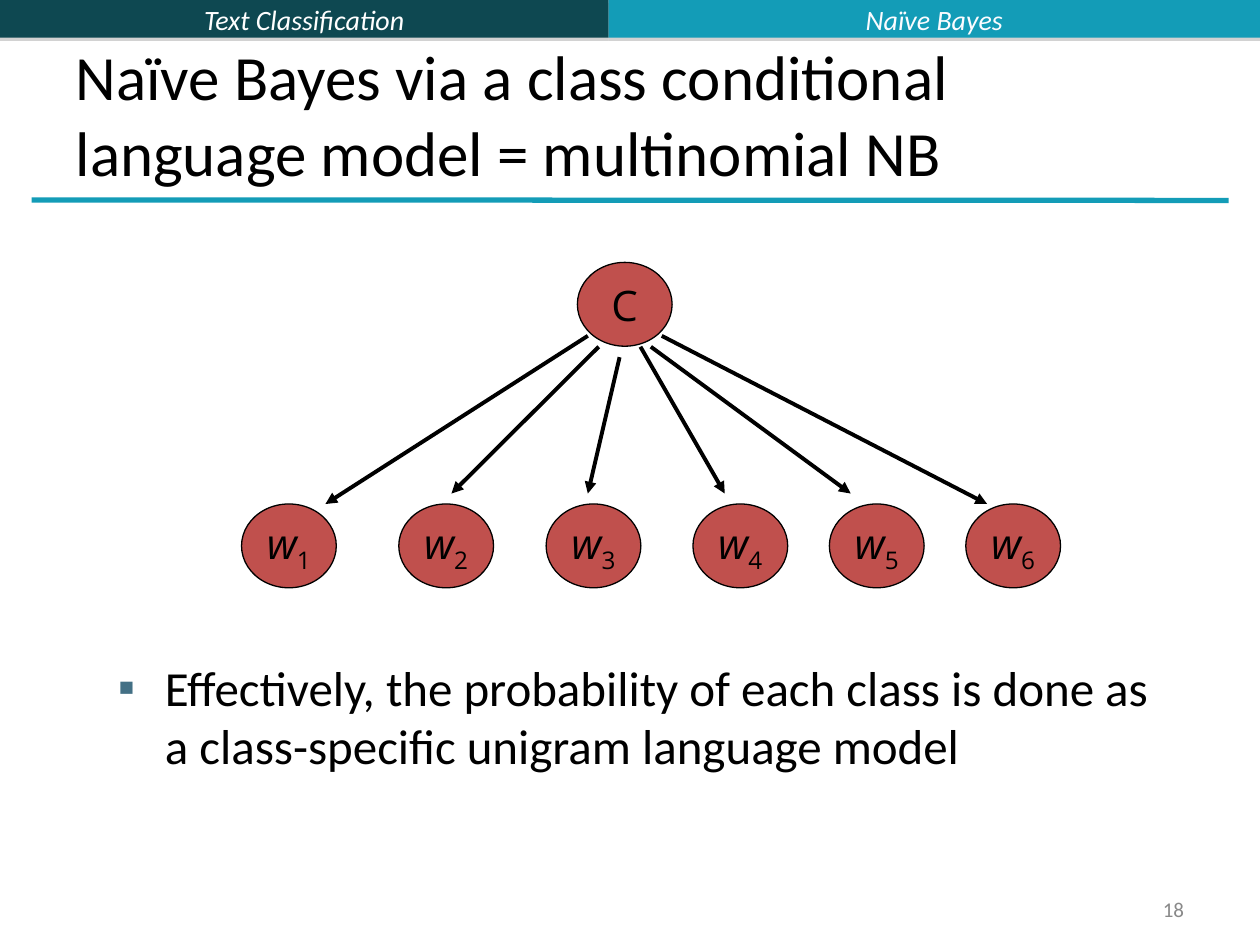
from dataclasses import dataclass

from lxml.etree import SubElement
from pptx import Presentation
from pptx.dml.color import RGBColor
from pptx.enum.shapes import MSO_CONNECTOR, MSO_SHAPE
from pptx.enum.text import MSO_ANCHOR, MSO_AUTO_SIZE, PP_ALIGN
from pptx.oxml.ns import qn
from pptx.util import Cm, Pt

COLORS = {
    "dark": "0E4851",
    "teal": "139CB7",
    "white": "FFFFFF",
    "pale": "FBFCFF",
    "black": "000000",
    "node": "C0504D",
    "bullet": "437085",
    "number": "898989",
    "shadow": "808080",
}
NODE_WIDTH, NODE_HEIGHT = 1.91, 1.69
WORD_TOP = 10.16


@dataclass
class Banner:
    left: float
    width: float
    text: str
    fill: str
    color: str


@dataclass
class Node:
    left: float
    top: float
    letter: str
    subscript: str = ""


@dataclass
class Line:
    start: tuple[float, float]
    end: tuple[float, float]
    color: str = "black"
    width: float = 2.25
    arrow: bool = True


BANNERS = [
    Banner(0, 12.27, "Text Classification", "dark", "white"),
    Banner(12.27, 13.13, "Naïve Bayes", "teal", "pale"),
]
WORD_LEFTS = [4.87, 8.04, 11.01, 13.97, 16.72, 19.47]
NODES = [Node(11.64, 5.29, "C")] + [
    Node(left, WORD_TOP, "w", str(index)) for index, left in enumerate(WORD_LEFTS, 1)
]
ARROWS = [
    Line((11.85, 6.77), (6.56, 10.16)),
    Line((12.07, 6.99), (9.1, 9.95)),
    Line((12.49, 7.2), (11.85, 9.95)),
    Line((12.91, 6.99), (14.61, 9.95)),
    Line((13.12, 6.99), (17.15, 9.95)),
    Line((13.34, 6.77), (19.9, 10.16)),
]
DIVIDER = Line((0.64, 4.03), (24.77, 4.04), "teal", 3, False)


def rgb(name: str) -> RGBColor:
    return RGBColor.from_string(COLORS[name])


def style(span, size: float, color: str, name: str = "Calibri", italic: bool = False) -> None:
    span.font.size = Pt(size)
    span.font.name = name
    span.font.italic = italic
    span.font.color.rgb = rgb(color)


def place(box, left: float, top: float, width: float, height: float) -> None:
    box.left, box.top, box.width, box.height = Cm(left), Cm(top), Cm(width), Cm(height)


def draw_banner(page, banner: Banner) -> None:
    box = page.shapes.add_shape(
        MSO_SHAPE.RECTANGLE, Cm(banner.left), Cm(0), Cm(banner.width), Cm(0.76)
    )
    box.fill.solid()
    box.fill.fore_color.rgb = rgb(banner.fill)
    box.line.fill.background()
    box.shadow.inherit = False
    effects = box._element.spPr.find(qn("a:effectLst"))
    shadow = SubElement(effects, qn("a:outerShdw"), dist=str(Pt(1.8)), dir="5400000", rotWithShape="0")
    color = SubElement(shadow, qn("a:srgbClr"), val=COLORS["shadow"])
    SubElement(color, qn("a:alpha"), val="35000")
    box.text_frame.text = banner.text
    box.text_frame.vertical_anchor = MSO_ANCHOR.MIDDLE
    para = box.text_frame.paragraphs[0]
    para.alignment = PP_ALIGN.CENTER
    style(para.runs[0], 16, banner.color, italic=True)


def draw_node(page, node: Node) -> None:
    box = page.shapes.add_shape(
        MSO_SHAPE.OVAL, Cm(node.left), Cm(node.top), Cm(NODE_WIDTH), Cm(NODE_HEIGHT)
    )
    box.fill.solid()
    box.fill.fore_color.rgb = rgb("node")
    box.line.color.rgb = rgb("black")
    box.line.width = Pt(0.75)
    box.shadow.inherit = False
    box.text_frame.word_wrap = False
    box.text_frame.vertical_anchor = MSO_ANCHOR.MIDDLE
    box.text_frame.text = node.letter
    para = box.text_frame.paragraphs[0]
    para.alignment = PP_ALIGN.CENTER
    style(para.runs[0], 24, "black", "Open Sans", bool(node.subscript))
    if node.subscript:
        span = para.add_run()
        span.text = node.subscript
        style(span, 24, "black", "Open Sans")
        span._r.get_or_add_rPr().set("baseline", "-25000")


def draw_line(page, line: Line) -> None:
    points = [Cm(value) for value in (*line.start, *line.end)]
    connector = page.shapes.add_connector(MSO_CONNECTOR.STRAIGHT, *points)
    connector.line.color.rgb = rgb(line.color)
    connector.line.width = Pt(line.width)
    if line.arrow:
        SubElement(connector.line._get_or_add_ln(), qn("a:tailEnd"), type="triangle")
    SubElement(connector._element.spPr, qn("a:effectLst"))


def fill_title(box, text: str) -> None:
    place(box, 1.27, 0.76, 22.86, 3.18)
    frame = box.text_frame
    frame.text = text
    frame.auto_size = MSO_AUTO_SIZE.NONE
    frame.vertical_anchor = MSO_ANCHOR.BOTTOM
    frame.paragraphs[0].alignment = PP_ALIGN.LEFT
    style(frame.paragraphs[0].runs[0], 36, "black")


def fill_body(box, text: str) -> None:
    place(box, 2.12, 13.12, 21.59, 5.08)
    frame = box.text_frame
    frame.text = text
    frame.auto_size = MSO_AUTO_SIZE.NONE
    para = frame.paragraphs[0]
    para.space_before = Pt(0)
    properties = para._p.get_or_add_pPr()
    properties.set("marL", str(Cm(0.95)))
    properties.set("indent", str(Cm(-0.95)))
    color = SubElement(properties, qn("a:buClr"))
    SubElement(color, qn("a:srgbClr"), val=COLORS["bullet"])
    SubElement(properties, qn("a:buChar"), char="▪")
    style(para.runs[0], 28, "black")


def draw_page_number(page, number: str) -> None:
    box = page.shapes.add_textbox(Cm(18.2), Cm(17.98), Cm(5.92), Cm(0.69))
    box.text_frame.word_wrap = True
    box.text_frame.vertical_anchor = MSO_ANCHOR.MIDDLE
    box.text_frame.text = number
    para = box.text_frame.paragraphs[0]
    para.alignment = PP_ALIGN.RIGHT
    style(para.runs[0], 12, "number")


def main() -> None:
    deck = Presentation()
    deck.slide_width, deck.slide_height = Cm(25.4), Cm(19.05)
    page = deck.slides.add_slide(deck.slide_layouts[1])
    fill_title(
        page.shapes.title,
        "Naïve Bayes via a class conditional language model = multinomial NB",
    )
    fill_body(
        page.placeholders[1],
        "Effectively, the probability of each class is done as "
        "a class-specific unigram language model",
    )
    for banner in BANNERS:
        draw_banner(page, banner)
    for node in NODES:
        draw_node(page, node)
    for line in [DIVIDER, *ARROWS]:
        draw_line(page, line)
    draw_page_number(page, "18")
    deck.save("out.pptx")


if __name__ == "__main__":
    main()
